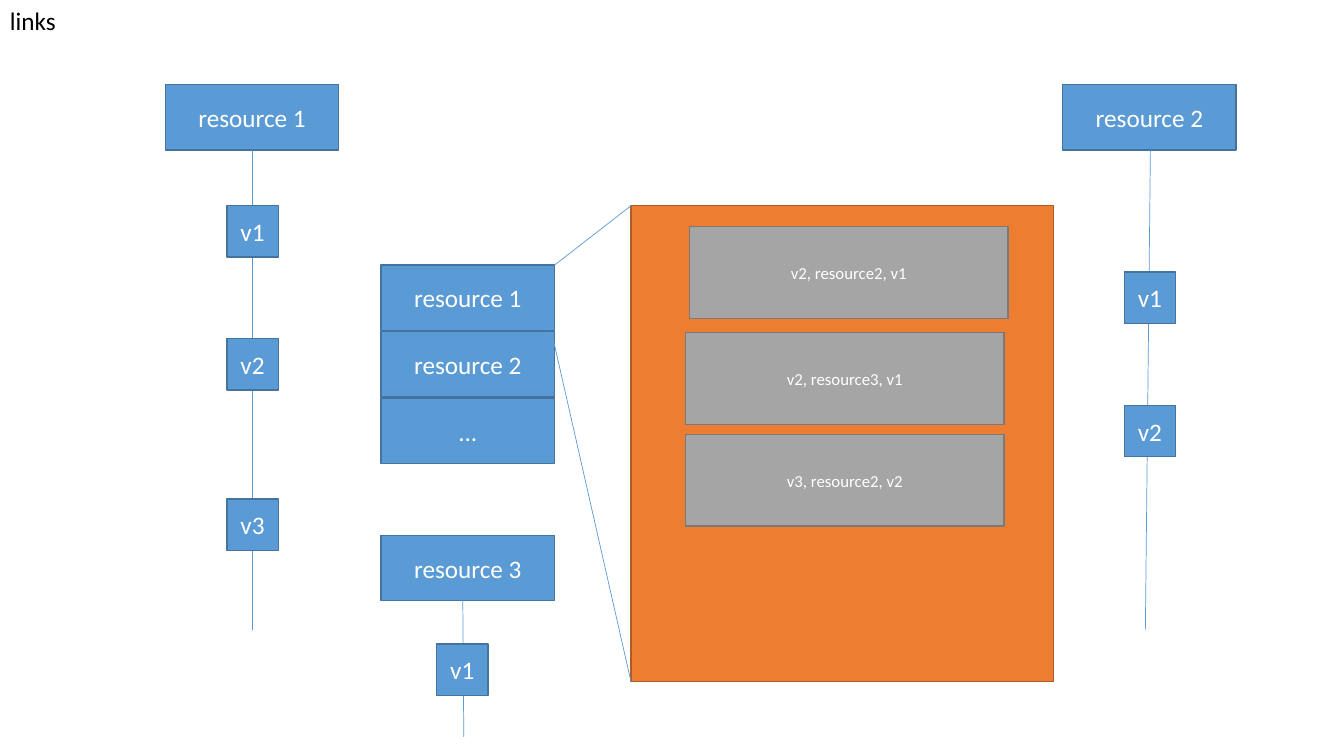
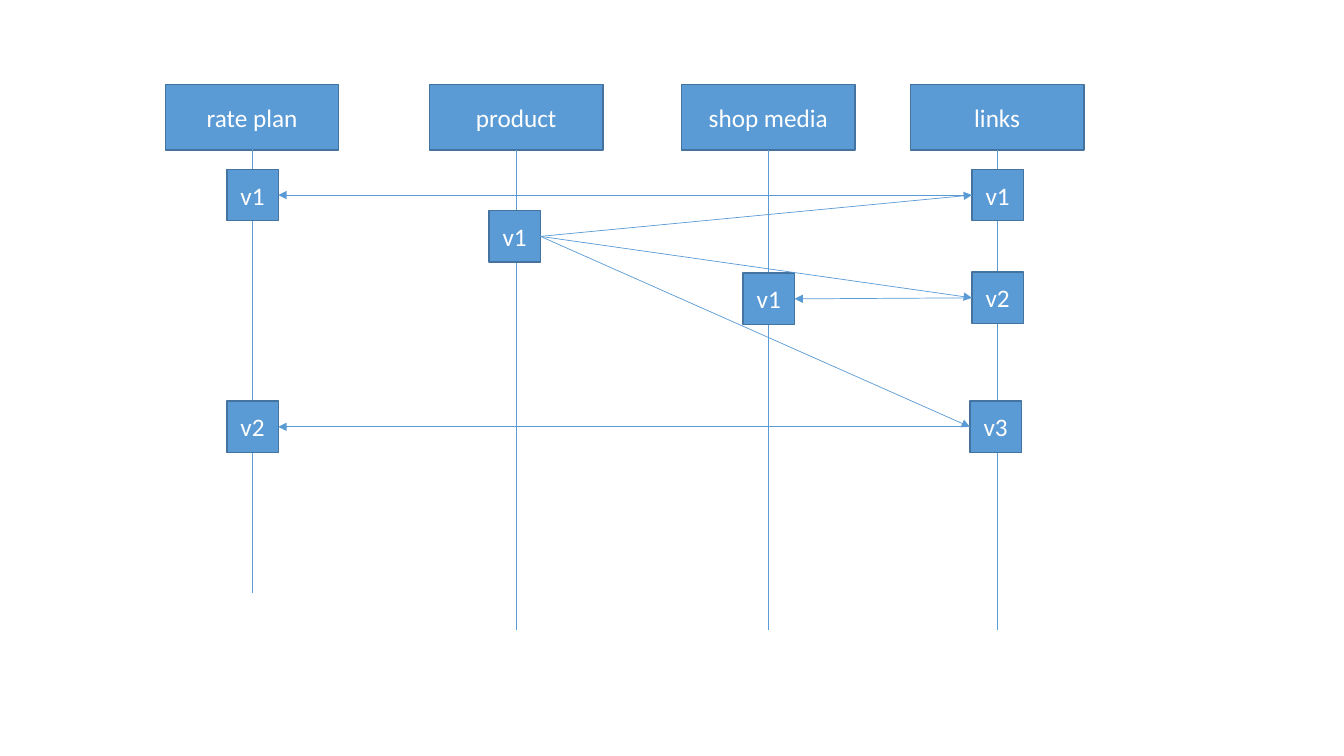
from dataclasses import dataclass

from lxml import etree
from pptx import Presentation
from pptx.dml.color import RGBColor
from pptx.enum.shapes import MSO_CONNECTOR, MSO_SHAPE
from pptx.enum.text import MSO_ANCHOR, MSO_AUTO_SIZE, PP_ALIGN
from pptx.oxml.ns import qn
from pptx.util import Inches, Pt

RECT = MSO_SHAPE.RECTANGLE
STRAIGHT = MSO_CONNECTOR.STRAIGHT
CENTER = PP_ALIGN.CENTER
MIDDLE = MSO_ANCHOR.MIDDLE
FIT_SHAPE = MSO_AUTO_SIZE.SHAPE_TO_FIT_TEXT
LEFT_SITE, RIGHT_SITE = 1, 3


@dataclass(frozen=True)
class Theme:
    # Each box style is (fill, outline)
    blue: tuple = ("5B9BD5", "43739E")
    orange: tuple = ("ED7D31", "AF5C24")
    gray: tuple = ("A5A5A5", "7A7A7A")
    connector: str = "5B9BD5"
    light_text: str = "FFFFFF"
    dark_text: str = "000000"
    font: str = "Calibri"
    body: int = 18
    small: int = 12
    outline: float = 1
    hairline: float = 0.5


HEAD_W, HEAD_H = 1.72, 0.65
HEAD_Y = 0.84
HEAD_BOTTOM = HEAD_Y + HEAD_H
LANE_END = 6.25
VERSION = 0.51


class Deck:
    def __init__(self, prs, theme):
        self.prs = prs
        self.theme = theme
        self.slide = None

    def new_slide(self):
        self.slide = self.prs.slides.add_slide(self.prs.slide_layouts[6])

    def style_text(self, tf, text, size, color):
        tf.text = text
        p = tf.paragraphs[0]
        for r in p.runs:
            r.font.name = self.theme.font
            r.font.size = Pt(size)
            r.font.color.rgb = RGBColor.from_string(color)
        return p

    def box(self, x, y, w, h, text="", style=None, size=None):
        t = self.theme
        fill, outline = style or t.blue
        sp = self.slide.shapes.add_shape(RECT, Inches(x), Inches(y), Inches(w), Inches(h))
        sp.shadow.inherit = False
        sp.fill.solid()
        sp.fill.fore_color.rgb = RGBColor.from_string(fill)
        sp.line.color.rgb = RGBColor.from_string(outline)
        sp.line.width = Pt(t.outline)
        if text:
            tf = sp.text_frame
            tf.vertical_anchor = MIDDLE
            self.style_text(tf, text, size or t.body, t.light_text).alignment = CENTER
        return sp

    def header(self, x, y, text):
        return self.box(x, y, HEAD_W, HEAD_H, text)

    def label(self, x, y, w, h, text):
        tb = self.slide.shapes.add_textbox(Inches(x), Inches(y), Inches(w), Inches(h))
        tf = tb.text_frame
        tf.word_wrap = False
        tf.auto_size = FIT_SHAPE
        self.style_text(tf, text, self.theme.body, self.theme.dark_text)

    def line(self, x1, y1, x2, y2):
        cx = self.slide.shapes.add_connector(
            STRAIGHT, Inches(x1), Inches(y1), Inches(x2), Inches(y2))
        cx.line.color.rgb = RGBColor.from_string(self.theme.connector)
        cx.line.width = Pt(self.theme.hairline)
        etree.SubElement(cx._element.spPr, qn("a:effectLst"))
        return cx

    def arrow(self, source, source_site, target, target_site):
        cx = self.line(0, 0, 1, 1)
        cx.begin_connect(source, source_site)
        cx.end_connect(target, target_site)
        etree.SubElement(cx.line._get_or_add_ln(), qn("a:tailEnd"), type="triangle")

    def lane(self, name, x, y, lifeline, versions):
        """Header, lifeline and numbered versions given as (left, top)."""
        self.header(x, y, name)
        self.line(*lifeline)
        return [self.box(vx, vy, VERSION, VERSION, f"v{n}")
                for n, (vx, vy) in enumerate(versions, 1)]


prs = Presentation()
prs.slide_width, prs.slide_height = Inches(13.33), Inches(7.5)
theme = Theme()
deck = Deck(prs, theme)

# Slide 1: link table between versioned resources
deck.new_slide()
deck.label(0, 0, 0.66, 0.4, "links")
deck.lane("resource 1", 1.64, HEAD_Y, (2.5, HEAD_BOTTOM, 2.5, LANE_END),
          [(2.25, y) for y in (2.04, 3.36, 4.95)])
deck.lane("resource 2", 10.54, HEAD_Y, (11.41, HEAD_BOTTOM, 11.36, LANE_END),
          [(11.15, y) for y in (2.7, 4.02)])

# Stacked resource index
for row, name in enumerate(("resource 1", "resource 2", "...")):
    deck.header(3.78, 2.63 + row * 0.66, name)

# Expanded panel with its link records
deck.box(6.26, 2.04, 4.19, 4.72, style=theme.orange)
deck.line(5.5, 2.63, 6.26, 2.04)
deck.line(5.47, 3.29, 6.26, 6.77)
for x, y, record in ((6.84, 2.25, "v2, resource2, v1"),
                     (6.8, 3.3, "v2, resource3, v1"),
                     (6.8, 4.31, "v3, resource2, v2")):
    deck.box(x, y, 3.16, 0.91, record, theme.gray, theme.small)

deck.lane("resource 3", 3.78, 5.31, (4.59, 5.93, 4.6, 7.31), [(4.33, 6.39)])

# Slide 2: version timelines and the links between them
deck.new_slide()
rate_plan = deck.lane("rate plan", 1.64, HEAD_Y, (2.5, 1.13, 2.5, 5.88),
                      [(2.25, 1.68), (2.25, 3.98)])
shop_media, product, links = [
    deck.lane(name, x, HEAD_Y,
              (x + HEAD_W / 2, HEAD_BOTTOM, x + HEAD_W / 2, LANE_END), versions)
    for name, x, versions in (
        ("shop media", 6.76, [(7.37, 2.71)]),
        ("product", 4.26, [(4.85, 2.09)]),
        ("links", 9.03, [(9.64, 1.68), (9.64, 2.7), (9.62, 3.98)]))]

# Every link version joins the product to one other version
for link, other in zip(links, (rate_plan[0], shop_media[0], rate_plan[1])):
    deck.arrow(product[0], RIGHT_SITE, link, LEFT_SITE)
    deck.arrow(link, LEFT_SITE, other, RIGHT_SITE)

prs.save("out.pptx")
